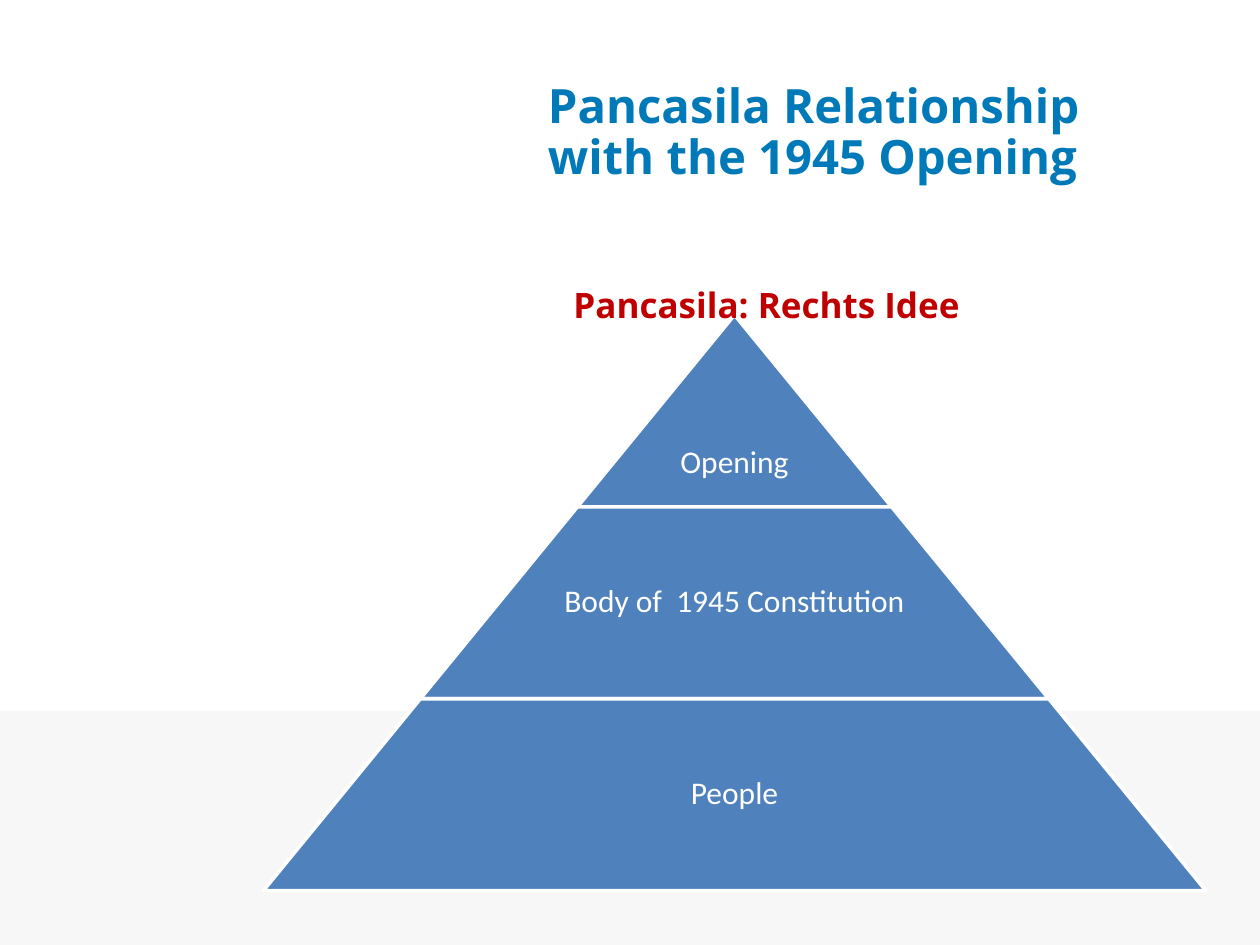
"""Build the Pancasila pyramid slide."""
import pptx
import pptx.dml.color
import pptx.enum.shapes
import pptx.enum.text
import pptx.util

WHITE = pptx.dml.color.RGBColor(0xFF, 0xFF, 0xFF)
BAND_GREY = pptx.dml.color.RGBColor(0xF7, 0xF7, 0xF7)
TITLE_BLUE = pptx.dml.color.RGBColor(0x00, 0x79, 0xB8)
TIER_BLUE = pptx.dml.color.RGBColor(0x4F, 0x81, 0xBD)
IDEA_RED = pptx.dml.color.RGBColor(0xC0, 0x00, 0x00)
SHAPES = pptx.enum.shapes.MSO_SHAPE
ALIGN = pptx.enum.text.PP_ALIGN

deck = pptx.Presentation()
deck.slide_width = pptx.util.Inches(10)
deck.slide_height = pptx.util.Inches(7.5)
COLUMN = deck.slide_width / 1000
ROW = deck.slide_height / 750
page = deck.slides.add_slide(deck.slide_layouts[6])


def add_block(kind, left, top, width, height, color):
    block = page.shapes.add_shape(
        kind, int(left * COLUMN), int(top * ROW), int(width * COLUMN), int(height * ROW))
    block.shadow.inherit = False
    block.fill.solid()
    block.fill.fore_color.rgb = color
    block.line.fill.background()
    return block


def add_text(words, left, top, width, height, inset, color, font, layout):
    box = page.shapes.add_textbox(
        int(left * COLUMN), int(top * ROW), int(width * COLUMN), int(height * ROW))
    frame = box.text_frame
    frame.word_wrap = True
    frame.vertical_anchor = pptx.enum.text.MSO_ANCHOR.MIDDLE
    for side, length in inset.items():
        setattr(frame, f"margin_{side}", pptx.util.Inches(length))
    para = frame.paragraphs[0]
    for name, value in layout.items():
        setattr(para, name, value)
    span = para.add_run()
    span.text = words
    for name, value in font.items():
        setattr(span.font, name, value)
    span.font.color.rgb = color


add_block(SHAPES.RECTANGLE, 0, 564, 1000, 186, BAND_GREY)

wide_inset = {"left": 0.1, "right": 0.1, "top": 0.05, "bottom": 0.05}
add_text("Pancasila Relationship with the 1945 Opening", 425, 42, 458, 128,
         wide_inset, TITLE_BLUE,
         {"name": "Open Sans", "size": pptx.util.Pt(27), "bold": True},
         {"alignment": ALIGN.LEFT, "line_spacing": 0.9})

APEX, PEAK, TIER_HEIGHT, TIER_STEP = 583, 250, 152.3, 249.3
SLOPE = TIER_STEP / 2 / TIER_HEIGHT
tiers = [("Opening", 1, 0.86),
         ("Body of  1945 Constitution", 0.65, 0.03),
         ("People", 0.65, 0.03)]
for index, (words, text_share, top_inset) in enumerate(tiers):
    width = TIER_STEP * (index + 1)
    top = PEAK + TIER_HEIGHT * index
    tier = add_block(SHAPES.TRAPEZOID, APEX - width / 2, top, width, TIER_HEIGHT, TIER_BLUE)
    tier.adjustments[0] = SLOPE
    tier.line.color.rgb = WHITE
    tier.line.width = pptx.util.Pt(2)
    text_width = width * text_share
    add_text(words, APEX - text_width / 2, top, text_width, TIER_HEIGHT,
             {"left": 0.03, "right": 0.03, "top": top_inset, "bottom": 0.03}, WHITE,
             {"name": "Calibri", "size": pptx.util.Pt(18)},
             {"alignment": ALIGN.CENTER, "line_spacing": 0.9})

add_text("Pancasila: Rechts Idee", 325, 192, 567, 100, wide_inset, IDEA_RED,
         {"name": "Open Sans", "size": pptx.util.Pt(20), "bold": True},
         {"alignment": ALIGN.CENTER})

deck.save("out.pptx")
